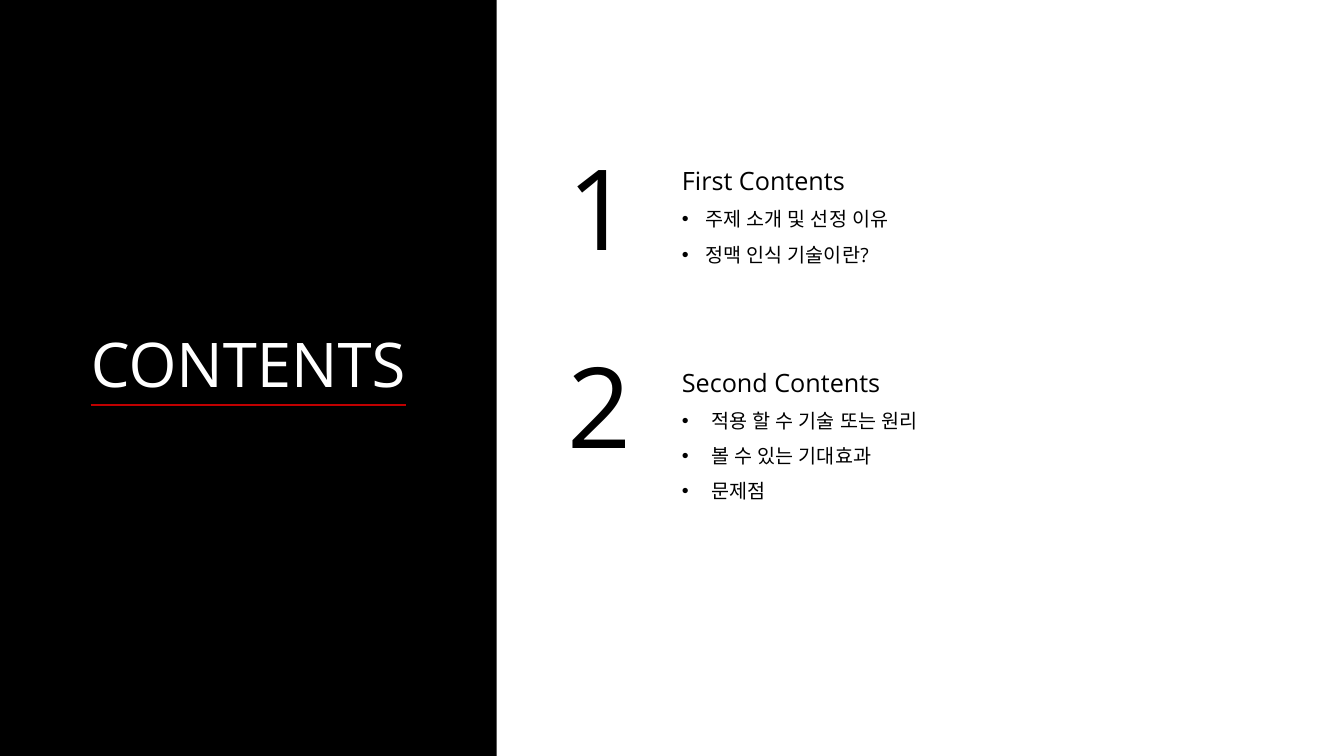
"""Build the contents slide with a black title panel and two numbered sections."""
import pptx
import pptx.util
import pptx.dml.color
import pptx.enum.shapes
import pptx.enum.text
import pptx.oxml
import pptx.oxml.ns

Inches = pptx.util.Inches
Text = pptx.enum.text
NS = pptx.oxml.ns.nsdecls("a")


def paint(code):
    return pptx.dml.color.RGBColor.from_string(code)


def write(para, text, size, color="000000"):
    run = para.add_run()
    run.text = text
    look = {"name": "Open Sans", "size": pptx.util.Pt(size), "bold": False}
    for key, value in look.items():
        setattr(run.font, key, value)
    run.font.color.rgb = paint(color)
    face = pptx.oxml.parse_xml(f'<a:ea {NS} typeface="Open Sans"/>')
    run.font._element.append(face)


deck = pptx.Presentation()
deck.slide_width, deck.slide_height = Inches(13.34), Inches(7.5)
slide = deck.slides.add_slide(deck.slide_layouts[5])
shapes = slide.shapes

panel = shapes.add_shape(
    pptx.enum.shapes.MSO_SHAPE.RECTANGLE, 0, 0, Inches(4.93), Inches(7.5))
panel.shadow.inherit = False
panel.fill.solid()
panel.fill.fore_color.rgb = paint("000000")
panel.line.fill.background()

title = shapes.title
panel._element.addnext(title._element)
place = {"left": 0.71, "top": 3.18, "width": 3.51, "height": 0.84}
for key, value in place.items():
    setattr(title, key, Inches(value))
frame = title.text_frame
style = {"word_wrap": False, "vertical_anchor": Text.MSO_ANCHOR.TOP,
         "auto_size": Text.MSO_AUTO_SIZE.NONE}
for key, value in style.items():
    setattr(frame, key, value)
head = frame.paragraphs[0]
head.alignment = Text.PP_ALIGN.CENTER
write(head, "CONTENTS", 44, "FFFFFF")

rule = shapes.add_connector(
    pptx.enum.shapes.MSO_CONNECTOR.STRAIGHT,
    Inches(0.9), Inches(4.02), Inches(4.03), Inches(4.02))
rule.line.color.rgb = paint("C00000")
rule.line.width = pptx.util.Pt(1.5)
rule._element.spPr.append(pptx.oxml.parse_xml(f"<a:effectLst {NS}/>"))

parts = [
    ("1", 1.33, 1.44, 2.45, 1.25, 0.23, "First Contents",
     ["주제 소개 및 선정 이유", "정맥 인식 기술이란?"]),
    ("2", 3.29, 3.44, 2.97, 1.6, 0.29, "Second Contents",
     ["적용 할 수 기술 또는 원리", "볼 수 있는 기대효과", "문제점"]),
]
for mark, high, top, width, height, indent, name, items in parts:
    digit = shapes.add_textbox(
        Inches(5.53), Inches(high), Inches(0.85), Inches(1.44))
    digit.text_frame.word_wrap = False
    write(digit.text_frame.paragraphs[0], mark, 80)

    body = shapes.add_textbox(
        Inches(6.67), Inches(top), Inches(width), Inches(height)).text_frame
    body.word_wrap = True
    para = body.paragraphs[0]
    para.line_spacing = 1.5
    write(para, name, 18)
    for item in items:
        para = body.add_paragraph()
        para.line_spacing = 1.5
        props = para._p.get_or_add_pPr()
        props.set("marL", str(Inches(indent)))
        props.set("indent", str(-Inches(indent)))
        for bullet in (
                f'<a:buClr {NS}><a:srgbClr val="000000"/></a:buClr>',
                f'<a:buFont {NS} typeface="Arial"/>',
                f'<a:buChar {NS} char="•"/>'):
            props.append(pptx.oxml.parse_xml(bullet))
        write(para, item, 14)

deck.save("out.pptx")
